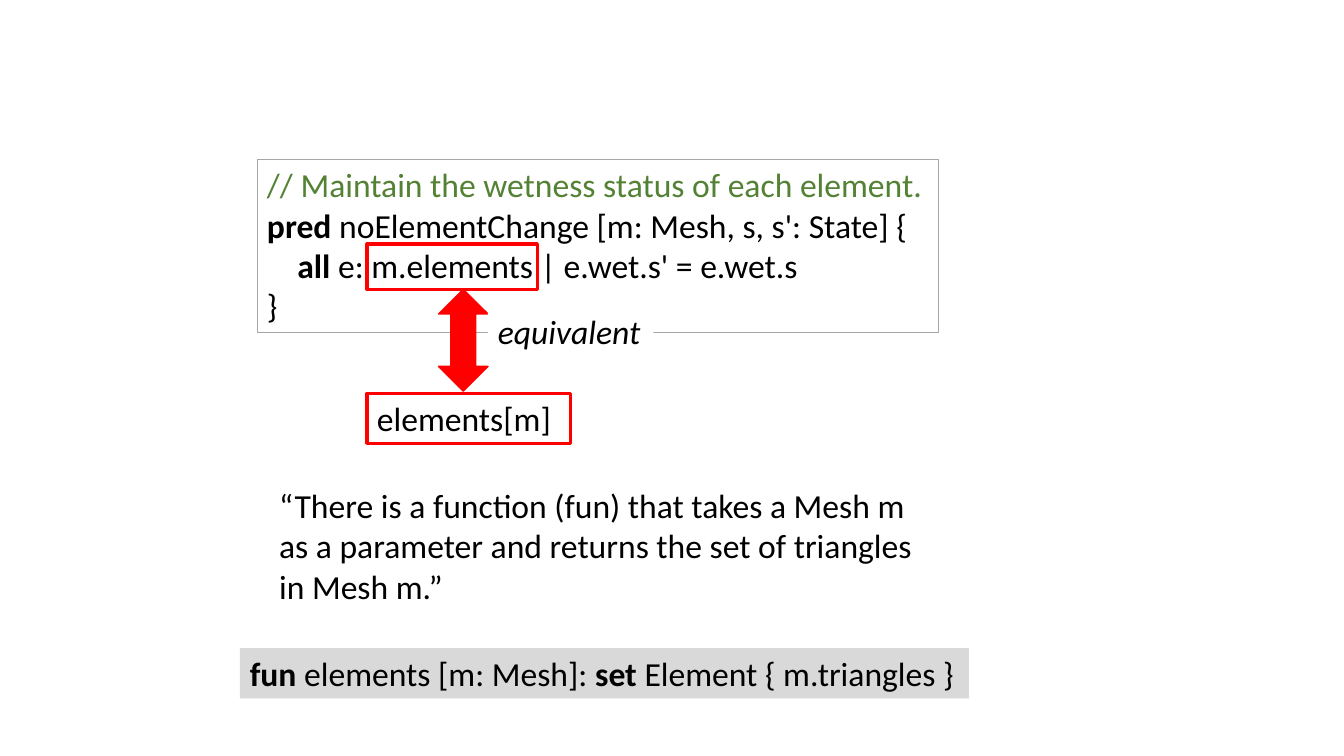
from dataclasses import dataclass

from pptx import Presentation
from pptx.dml.color import RGBColor
from pptx.enum.shapes import MSO_SHAPE
from pptx.enum.text import MSO_ANCHOR, MSO_AUTO_SIZE, PP_ALIGN
from pptx.util import Emu, Inches, Pt


@dataclass(frozen=True)
class Theme:
    font: str = "Calibri"
    size: int = 24
    ink: str = "000000"
    note: str = "548235"
    mark: str = "FF0000"
    edge: str = "A6A6A6"
    band: str = "D9D9D9"
    paper: str = "FFFFFF"
    thin: float = 0.75
    mid: float = 1
    thick: float = 2.25


@dataclass(frozen=True)
class Part:
    text: str
    bold: bool = False
    slant: bool = False
    color: str = Theme.ink


@dataclass(frozen=True)
class Box:
    """Place and size are columns and rows of the slide grid."""
    col: float
    row: float
    cols: float
    rows: float
    kind: MSO_SHAPE | None = MSO_SHAPE.RECTANGLE
    fill: str | None = None
    line: str | None = None
    width: float = 0
    wrap: bool = False
    lines: tuple[tuple[Part, ...], ...] = ()


LOOK = Theme()
CELL = Inches(0.1)  # side of one grid cell

# Code listing
CODE = (
    (Part("// Maintain the wetness status of each element.", color=LOOK.note),),
    (Part("pred", bold=True), Part(" noElementChange [m: Mesh, s, s': State] {")),
    (Part("    "), Part("all", bold=True), Part(" e: m.elements | e.wet.s' = e.wet.s")),
    (Part("}"),),
)

# Function definition
FUN = (
    Part("fun", bold=True), Part(" elements [m: Mesh]: "),
    Part("set", bold=True), Part(" Element { m.triangles }"),
)

QUOTE = Part("“There is a function (fun) that takes a Mesh m as a parameter "
             "and returns the set of triangles in Mesh m.”")

# All parts, from back to front
BOXES = (
    Box(25.5, 15.8, 67.6, 17.2, line=LOOK.edge, width=LOOK.thin, wrap=True, lines=CODE),
    Box(36.4, 24.2, 16.9, 4.5, line=LOOK.mark, width=LOOK.thick),
    Box(36.4, 39, 20.2, 5, line=LOOK.mark, width=LOOK.thick,
        lines=((Part("elements[m]"),),)),
    Box(43.5, 28.7, 4.9, 10.1, kind=MSO_SHAPE.UP_DOWN_ARROW,
        fill=LOOK.mark, line=LOOK.mark, width=LOOK.mid),
    Box(48.4, 30.4, 16.4, 5, fill=LOOK.paper,
        lines=((Part("equivalent", slant=True),),)),
    Box(26.7, 47.6, 66.4, 13.1, kind=None, wrap=True, lines=((QUOTE,),)),
    Box(23.8, 64.3, 72.3, 5, fill=LOOK.band, lines=(FUN,)),
)


def cells(count: float) -> Emu:
    return Emu(round(count * CELL))


def write(frame, box: Box) -> None:
    frame.word_wrap = box.wrap
    frame.auto_size = MSO_AUTO_SIZE.SHAPE_TO_FIT_TEXT
    frame.vertical_anchor = MSO_ANCHOR.TOP
    for i, parts in enumerate(box.lines):
        para = frame.add_paragraph() if i else frame.paragraphs[0]
        para.alignment = PP_ALIGN.LEFT
        for part in parts:
            run = para.add_run()
            run.text = part.text
            font = run.font
            font.name, font.size = LOOK.font, Pt(LOOK.size)
            font.bold, font.italic = part.bold, part.slant
            font.color.rgb = RGBColor.from_string(part.color)


def draw(slide, box: Box) -> None:
    area = [cells(n) for n in (box.col, box.row, box.cols, box.rows)]
    if box.kind is None:
        shape = slide.shapes.add_textbox(*area)
    else:
        shape = slide.shapes.add_shape(box.kind, *area)
        shape.shadow.inherit = False
    if box.fill:
        shape.fill.solid()
        shape.fill.fore_color.rgb = RGBColor.from_string(box.fill)
    else:
        shape.fill.background()
    if box.line:
        shape.line.color.rgb = RGBColor.from_string(box.line)
        shape.line.width = Pt(box.width)
    else:
        shape.line.fill.background()
    if box.lines:
        write(shape.text_frame, box)


def main() -> None:
    deck = Presentation()
    deck.slide_width, deck.slide_height = Inches(13.33), Inches(7.5)
    slide = deck.slides.add_slide(deck.slide_layouts[6])
    for box in BOXES:
        draw(slide, box)
    deck.save("out.pptx")


if __name__ == "__main__":
    main()
